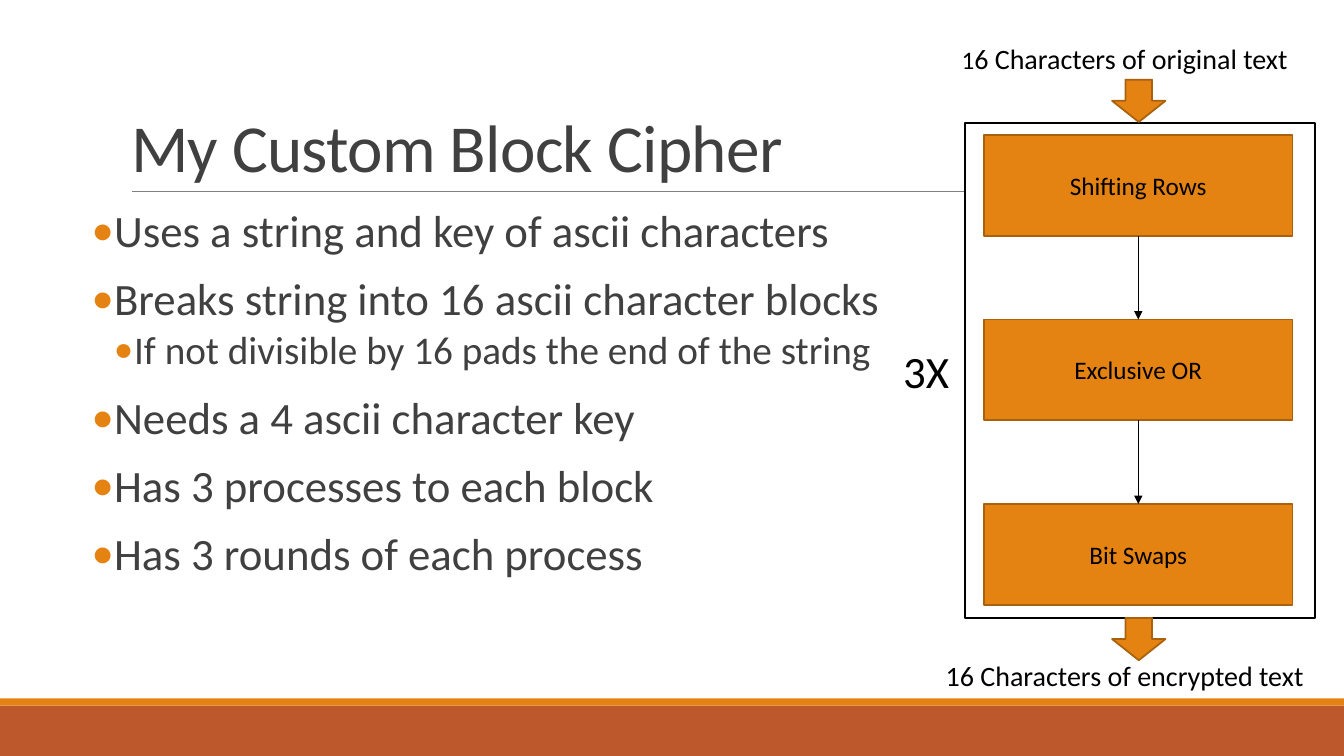
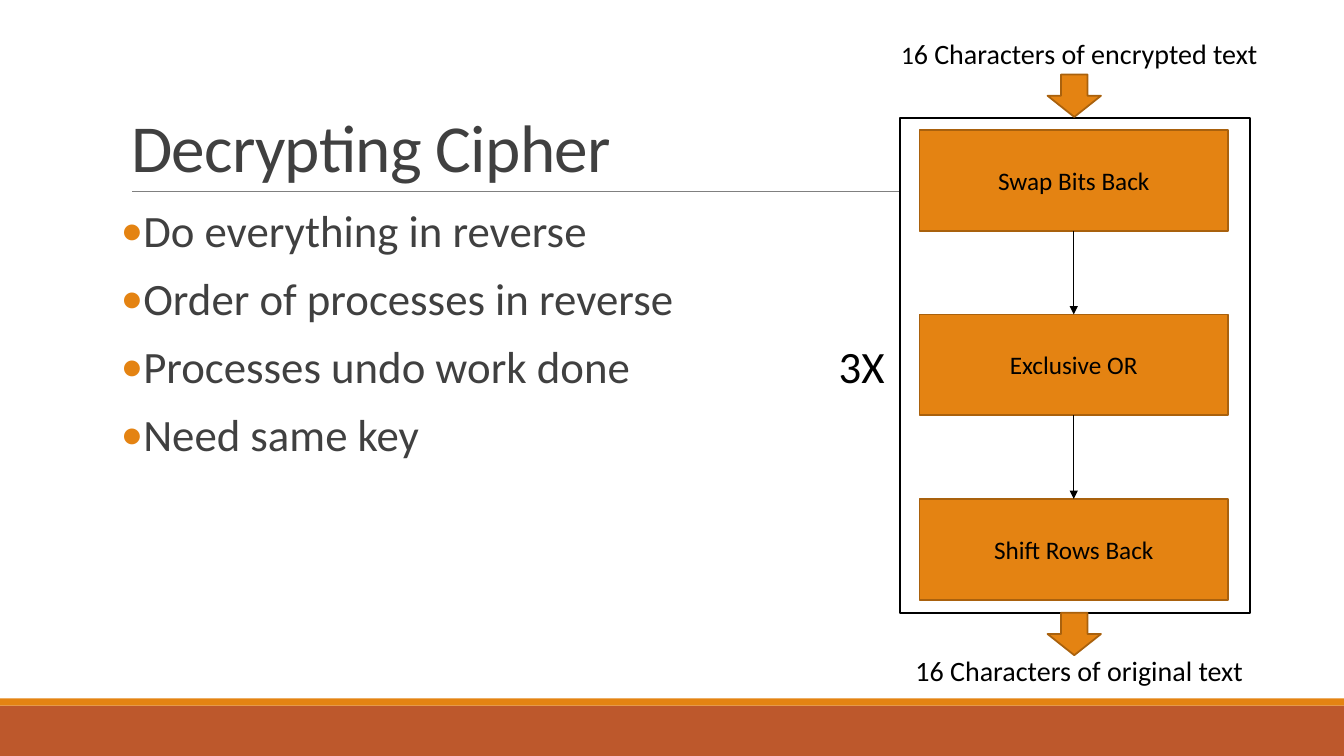
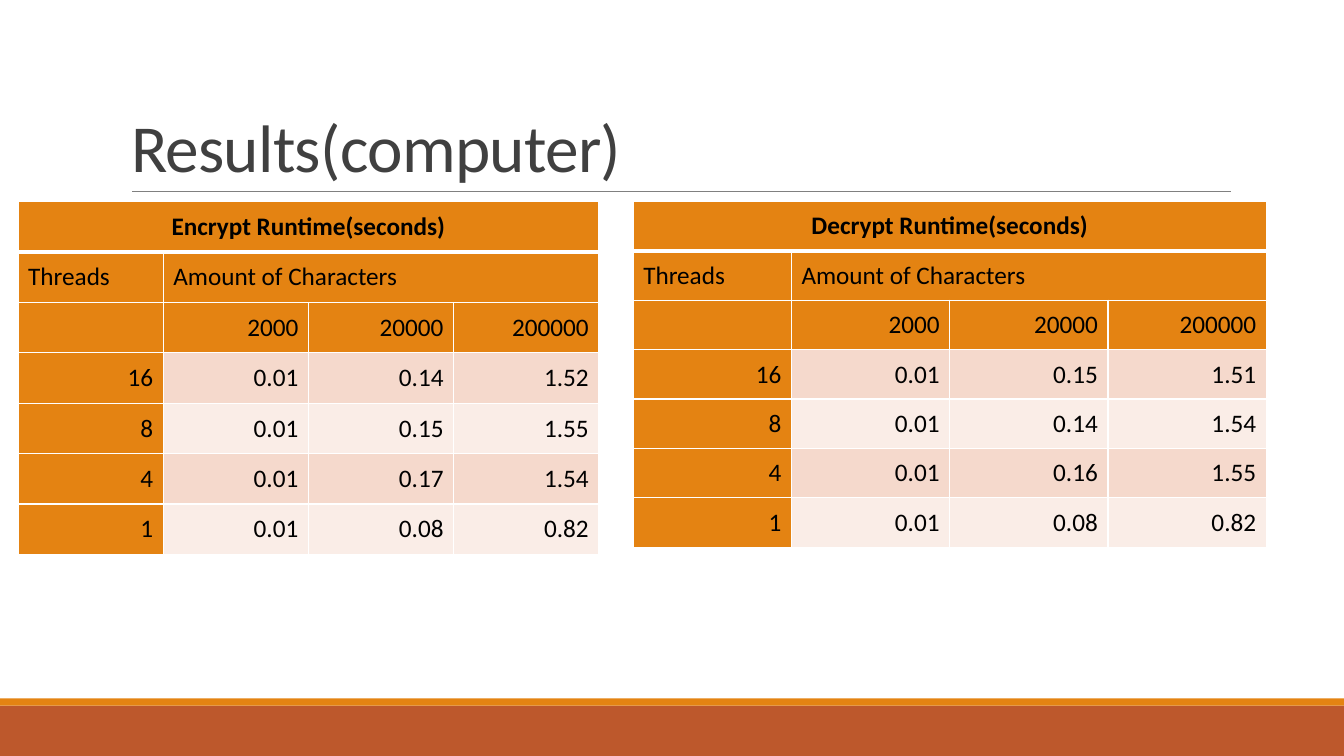
"""Build three slides on a custom block cipher and its run times."""
import lxml.etree
import pptx
import pptx.dml.color
import pptx.enum.shapes
import pptx.enum.text
import pptx.oxml.ns
import pptx.util

Inches = pptx.util.Inches
Pt = pptx.util.Pt
RGBColor = pptx.dml.color.RGBColor
Align = pptx.enum.text.PP_ALIGN
Anchor = pptx.enum.text.MSO_ANCHOR
Shape = pptx.enum.shapes.MSO_SHAPE
Wire = pptx.enum.shapes.MSO_CONNECTOR.STRAIGHT
qn = pptx.oxml.ns.qn
add = lxml.etree.SubElement

ORANGE = RGBColor(0xE4, 0x83, 0x12)
RUST = RGBColor(0xBD, 0x58, 0x2C)
BROWN = RGBColor(0xA9, 0x61, 0x0D)
PINK = RGBColor(0xF5, 0xD9, 0xCC)
PALE = RGBColor(0xFA, 0xED, 0xE7)
DARK = RGBColor(0x40, 0x40, 0x40)
GRAY = RGBColor(0x80, 0x80, 0x80)
BLACK = RGBColor(0, 0, 0)
WHITE = RGBColor(0xFF, 0xFF, 0xFF)


def say(para, text, size=18, color=BLACK, bold=False, align=None):
    run = para.add_run()
    run.text = text
    run.font.name = "Calibri"
    run.font.size = Pt(size)
    run.font.bold = bold
    run.font.color.rgb = color
    if align is not None:
        para.alignment = align
    return run


def block(slide, kind, x, y, w, h, fill, edge=None):
    shape = slide.shapes.add_shape(kind, Inches(x), Inches(y), Inches(w), Inches(h))
    shape.shadow.inherit = False
    shape.fill.solid()
    shape.fill.fore_color.rgb = fill
    if edge is None:
        shape.line.fill.background()
    else:
        shape.line.color.rgb = edge
        shape.line.width = Pt(1.25)
    return shape


deck = pptx.Presentation()
deck.slide_width = Inches(13.33)
deck.slide_height = Inches(7.5)

slides = []
for title, layout in [("My Custom Block Cipher", 1), ("Decrypting Cipher", 1), ("Results(computer)", 5)]:
    slide = deck.slides.add_slide(deck.slide_layouts[layout])
    slides.append(slide)
    head = slide.shapes.title
    head.left, head.top, head.width, head.height = Inches(1.2), Inches(0.31), Inches(11), Inches(1.59)
    head.text_frame.auto_size = pptx.enum.text.MSO_AUTO_SIZE.NONE
    head.text_frame.vertical_anchor = Anchor.BOTTOM
    para = head.text_frame.paragraphs[0]
    para.line_spacing = 0.85
    run = say(para, title, size=48, color=DARK, align=Align.LEFT)
    run.font._element.set("spc", "-50")

first = slides[0]
rule = first.shapes.add_connector(Wire, Inches(1.31), Inches(1.9), Inches(12.21), Inches(1.9))
rule.line.color.rgb = GRAY
rule.line.width = Pt(0.5)
add(rule.element.spPr, qn("a:effectLst"))
decor = [
    block(first, Shape.RECTANGLE, 0, 7, 13.33, 0.5, RUST),
    block(first, Shape.RECTANGLE, 0, 6.93, 13.33, 0.07, ORANGE),
    rule,
]
for n, part in enumerate(decor):
    part.element.xpath(".//p:cNvPr")[0].set("id", str(20 + n))
    deck.slide_master.shapes.element.insert(2 + n, part.element)

lists = [
    (0.91, [
        (0, "Uses a string and key of ascii characters"),
        (0, "Breaks string into 16 ascii character blocks"),
        (1, "If not divisible by 16 pads the end of the string"),
        (0, "Needs a 4 ascii character key"),
        (0, "Has 3 processes to each block"),
        (0, "Has 3 rounds of each process"),
    ]),
    (1.2, [
        (0, "Do everything in reverse"),
        (0, "Order of processes in reverse"),
        (0, "Processes undo work done"),
        (0, "Need same key"),
    ]),
]
styles = [(32, 0.1, -0.1, 12, 2), (28, 0.42, -0.2, 2, 4)]
for slide, (left, items) in zip(slides, lists):
    body = slide.placeholders[1]
    body.left, body.top, body.width, body.height = Inches(left), Inches(2.02), Inches(12.2 - left), Inches(4.4)
    frame = body.text_frame
    frame.auto_size = pptx.enum.text.MSO_AUTO_SIZE.NONE
    frame.margin_left = frame.margin_right = 0
    for n, (level, text) in enumerate(items):
        size, margin, indent, before, after = styles[level]
        para = frame.add_paragraph() if n else frame.paragraphs[0]
        para.level = level
        para.line_spacing = 0.9
        para.space_before = Pt(before)
        para.space_after = Pt(after)
        props = para._p.get_or_add_pPr()
        props.set("marL", str(Inches(margin)))
        props.set("indent", str(Inches(indent)))
        add(add(props, qn("a:buClr")), qn("a:srgbClr"), val=str(ORANGE))
        add(props, qn("a:buFont"), typeface="Calibri")
        add(props, qn("a:buChar"), char="•")
        say(para, text, size=size, color=DARK)

flows = [
    (9.57, 1.22, 9.23, "original", "encrypted", ["Shifting Rows", "Exclusive OR", "Bit Swaps"]),
    (8.93, 1.17, 8.78, "encrypted", "original", ["Swap Bits Back", "Exclusive OR", "Shift Rows Back"]),
]
for slide, (x, y, side, source, target, steps) in zip(slides, flows):
    block(slide, Shape.RECTANGLE, x, y, 3.47, 4.91, WHITE, BLACK)
    last = None
    for n, step in enumerate(steps):
        box = block(slide, Shape.RECTANGLE, x + 0.19, y + 0.12 + 1.83 * n, 3.06, 1, ORANGE, BROWN)
        box.text_frame.vertical_anchor = Anchor.MIDDLE
        say(box.text_frame.paragraphs[0], step, align=Align.CENTER)
        if last is not None:
            link = slide.shapes.add_connector(Wire, 0, 0, 0, 0)
            link.begin_connect(last, 2)
            link.end_connect(box, 0)
            link.line.color.rgb = BLACK
            link.line.width = Pt(1)
            add(link.element.spPr.find(qn("a:ln")), qn("a:tailEnd"), type="triangle")
            add(link.element.spPr, qn("a:effectLst"))
        last = box
    for top in (y - 0.43, y + 4.91):
        block(slide, Shape.DOWN_ARROW, x + 1.46, top, 0.53, 0.42, ORANGE, BROWN)
    labels = [
        (side, y - 0.86, 3.85, 0.44, Align.CENTER, [("1", 18), (f"6 Characters of {source} text", 20)]),
        (side, y + 5.26, 3.85, 0.44, Align.CENTER, [(f"16 Characters of {target} text", 20)]),
        (x - 0.71, y + 2.14, 0.71, 0.64, Align.LEFT, [("3X", 32)]),
    ]
    for left, top, width, height, align, runs in labels:
        label = slide.shapes.add_textbox(Inches(left), Inches(top), Inches(width), Inches(height))
        label.text_frame.word_wrap = True
        for text, size in runs:
            say(label.text_frame.paragraphs[0], text, size=size, align=align)

tables = [
    ("Decrypt", 6.28, 1.57, 0.49, [
        ("16", "0.01", "0.15", "1.51"),
        ("8", "0.01", "0.14", "1.54"),
        ("4", "0.01", "0.16", "1.55"),
        ("1", "0.01", "0.08", "0.82"),
    ]),
    ("Encrypt", 0.18, 1.44, 0.5, [
        ("16", "0.01", "0.14", "1.52"),
        ("8", "0.01", "0.15", "1.55"),
        ("4", "0.01", "0.17", "1.54"),
        ("1", "0.01", "0.08", "0.82"),
    ]),
]
for name, left, width, height, data in tables:
    rows = [
        (f"{name} Runtime(seconds)", "", "", ""),
        ("Threads", "Amount of Characters", "", ""),
        ("", "2000", "20000", "200000"),
    ] + data
    grid = slides[2].shapes.add_table(
        len(rows), 4, Inches(left), Inches(2), Inches(4 * width), Inches(len(rows) * height)
    ).table
    for col in grid.columns:
        col.width = Inches(width)
    for r, row in enumerate(rows):
        grid.rows[r].height = Inches(height)
        for c, text in enumerate(row):
            cell = grid.cell(r, c)
            cell.vertical_anchor = Anchor.MIDDLE
            props = cell._tc.get_or_add_tcPr()
            for edge in "LRTB":
                thick = (r, edge) in [(0, "B"), (1, "T")]
                line = add(props, qn(f"a:ln{edge}"), w=str(Pt(3 if thick else 1)))
                add(add(line, qn("a:solidFill")), qn("a:srgbClr"), val=str(WHITE))
            cell.fill.solid()
            cell.fill.fore_color.rgb = ORANGE if r < 3 or c == 0 else (PALE, PINK)[r % 2]
            if text:
                align = (Align.CENTER, Align.LEFT)[r] if r < 2 else Align.RIGHT
                say(cell.text_frame.paragraphs[0], text, bold=r == 0, align=align)
    grid.cell(0, 0).merge(grid.cell(0, 3))
    grid.cell(1, 1).merge(grid.cell(1, 3))

deck.save("out.pptx")
